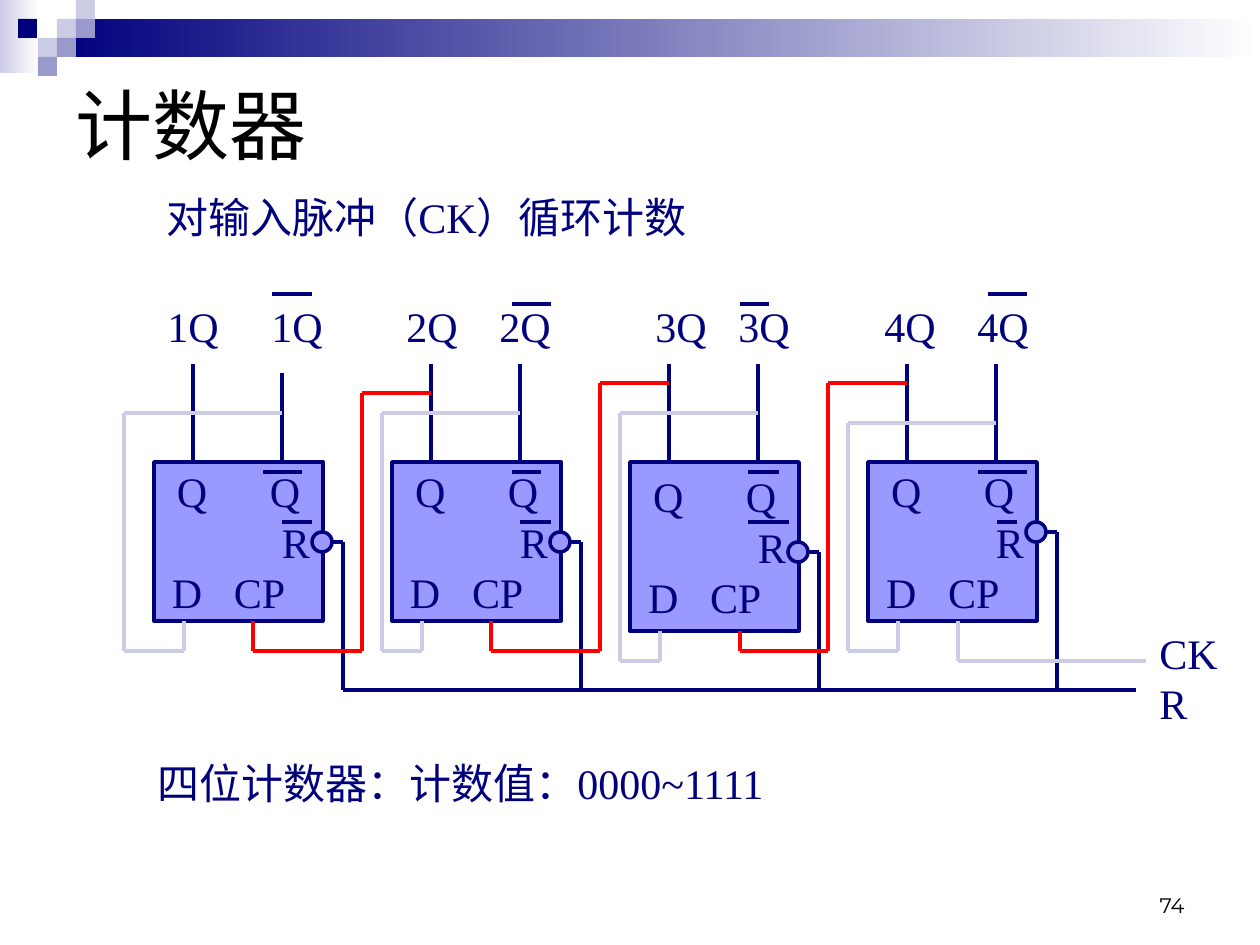
from collections import namedtuple
from itertools import pairwise
from lxml.etree import SubElement
from pptx import Presentation
from pptx.dml.color import RGBColor
from pptx.enum.shapes import MSO_CONNECTOR as Link, MSO_SHAPE as Kind
from pptx.enum.text import MSO_ANCHOR as Anchor, PP_ALIGN as Align
from pptx.oxml.ns import qn
from pptx.util import Emu, Pt

SCALE = 914400 / 126
NAVY, BLUE, PALE, GREY, RED = "00007D", "9999FF", "CCCCE6", "9999CC", "FF0000"
SERIF = "Times New Roman"


def px(n):
    return Emu(round(n * SCALE))


def rgb(text):
    return RGBColor.from_string(text)


def shape(kind, x, y, w, h, fill, line=None):
    item = slide.shapes.add_shape(kind, px(x), px(y), px(w), px(h))
    item.shadow.inherit = False
    if isinstance(fill, tuple):
        item.fill.gradient()
        item.fill.gradient_angle = 0
        for stop, tone in zip(item.fill.gradient_stops, fill):
            stop.color.rgb = rgb(tone)
    else:
        item.fill.solid()
        item.fill.fore_color.rgb = rgb(fill)
    if line:
        item.line.color.rgb = rgb(line)
        item.line.width = Pt(2)
    else:
        item.line.fill.background()
    return item


def wire(tone, *points):
    """Draw a chain of straight lines through the points."""
    for (x1, y1), (x2, y2) in pairwise(points):
        line = slide.shapes.add_connector(
            Link.STRAIGHT, px(x1), px(y1), px(x2), px(y2))
        line.line.color.rgb = rgb(tone)
        line.line.width = Pt(2)
        SubElement(line._element.spPr, qn("a:effectLst"))


def write(frame, rows, size=24, font=SERIF, tone=NAVY, align=Align.LEFT,
          before=0, stops=()):
    """Fill a frame; stops holds the tab positions of each row."""
    frame.word_wrap = True
    for i, row in enumerate(rows):
        para = frame.paragraphs[0] if i == 0 else frame.add_paragraph()
        para.alignment = align
        para.space_before = Pt(before)
        run = para.add_run()
        run.text = row
        run.font.size = Pt(size)
        run.font.name = font
        run.font.color.rgb = rgb(tone)
        if stops:
            tabs = SubElement(para._p.get_or_add_pPr(), qn("a:tabLst"))
            for at in stops[i]:
                SubElement(tabs, qn("a:tab"), pos=str(px(at)), algn="l")


def label(x, y, w, h, rows, anchor=Anchor.TOP, **style):
    frame = slide.shapes.add_textbox(px(x), px(y), px(w), px(h)).text_frame
    frame.vertical_anchor = anchor
    write(frame, rows, **style)


def header(x, y):
    shape(Kind.RECTANGLE, x, y, 39, 73, (PALE, "FFFFFF"))
    shape(Kind.RECTANGLE, x + 57, y + 19, 1203, 38, (NAVY, "FFFFFF"))
    for dx, dy, tone in [(57, 19, PALE), (76, 0, PALE), (76, 19, GREY),
                         (38, 38, PALE), (18, 19, NAVY), (57, 38, GREY),
                         (38, 57, GREY)]:
        shape(Kind.RECTANGLE, x + dx, y + dy, 19, 19, tone)


def chip(x, y, w, h, part):
    """One flip-flop with its pins, overbars and reset bubble."""
    body = shape(Kind.RECTANGLE, x, y, w, h, BLUE, NAVY)
    frame = body.text_frame
    frame.margin_left = frame.margin_right = 0
    frame.vertical_anchor = Anchor.MIDDLE
    write(frame, ["\tQ\tQ", "\tR", "\tD\tCP"],
          stops=[(23, 116), (128,), (18, 80)])
    wire(NAVY, (x + 39, y - 98), (x + 39, y))
    wire(NAVY, (x + 128, y + part.pin), (x + 128, y))
    for left, right, dy in part.bars:
        wire(NAVY, (x + left, y + dy), (x + right, y + dy))
    mid = y + part.reset
    wire(NAVY, (x + 178, mid), (x + 189, mid), (x + 189, y + 228))
    shape(Kind.OVAL, x + 158, mid - 10, 20, 20, BLUE, NAVY)


def loop(x, y, h, part):
    """Feedback from inverted Q to D."""
    left, top = part.back
    low = y + h + 30
    wire(PALE, (x + 128, y + top), (x + left, y + top), (x + left, low),
         (x + 30, low), (x + 30, y + h))


def clock(x, y, h, part):
    """Link from CP to Q of the next stage."""
    cp, side, top = part.clock
    wire(RED, (x + cp, y + h), (x + cp, y + 189), (x + side, y + 189),
         (x + side, y + top), (x + 277, y + top))


def counter(x, y):
    places = [(x + 238 * i, y, part) for i, part in enumerate(PARTS)]
    for cx, cy, part in places:
        chip(cx, cy, 169, part.tall, part)
    for cx, cy, part in places:
        loop(cx, cy, part.tall, part)
        if part.clock:
            clock(cx, cy, part.tall, part)
    # Shared reset rail and clock input
    wire(NAVY, (x + 189, y + 228), (x + 982, y + 228))
    wire(PALE, (x + 804, y + 159), (x + 804, y + 199), (x + 992, y + 199))
    # Outputs and inputs
    names = "".join(f"\t{n}Q\t{n}Q" for n in range(1, 5))
    label(x - 20, y - 168, 973, 63, [names], before=15,
          stops=[(21, 125, 260, 353, 509, 592, 738, 831)])
    label(x + 993, y + 159, 113, 113, ["CK", "R"])


# Height, pin top, overbars, reset height, feedback corner, clock route
Part = namedtuple("Part", "tall pin bars reset back clock")
PARTS = [
    Part(159, -89, [(118, 158, -168), (109, 148, 10), (128, 158, 60)],
         80, (-30, -49), (99, 208, -69)),
    Part(159, -98, [(120, 159, -158), (120, 149, 10), (128, 159, 60)],
         80, (-10, -49), (99, 208, -79)),
    Part(169, -98, [(110, 139, -158), (118, 149, 10), (118, 159, 60)],
         90, (-10, -49), (110, 198, -79)),
    Part(159, -98, [(120, 159, -168), (110, 159, 10), (129, 149, 60)],
         70, (-20, -39), None),
]

deck = Presentation()
deck.slide_width, deck.slide_height = px(1260), px(945)
slide = deck.slides.add_slide(deck.slide_layouts[6])

header(0, 0)
label(63, 63, 1134, 122, ["计数器"], Anchor.MIDDLE,
      size=44, font="Arial", tone="000000")
label(154, 185, 605, 63, ["对输入脉冲（CK）循环计数"], before=15)
counter(154, 462)
label(145, 751, 901, 63, ["四位计数器：计数值：0000~1111"], before=15)
label(903, 861, 294, 63, ["74"], Anchor.BOTTOM,
      size=12, font="Montserrat", tone="000000", align=Align.RIGHT)

deck.save("out.pptx")
